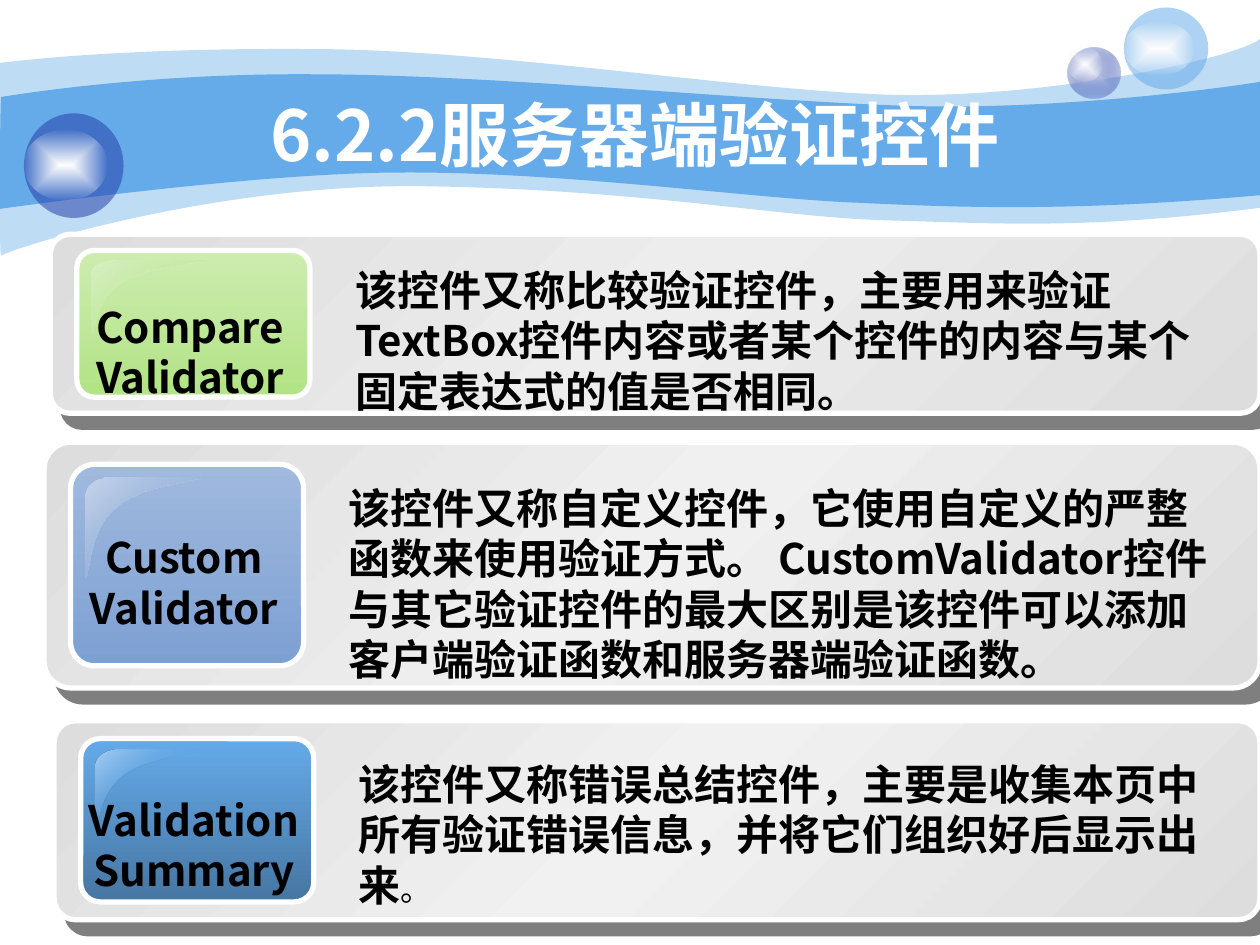
from pptx import Presentation
from pptx.dml.color import RGBColor
from pptx.enum.shapes import MSO_SHAPE
from pptx.enum.text import MSO_ANCHOR, MSO_AUTO_SIZE, PP_ALIGN
from pptx.oxml import parse_xml
from pptx.oxml.ns import nsdecls, qn
from pptx.util import Inches, Pt

COLORS = {
    "sky": "65AAE9", "navy": "233DA9", "lilac": "C6CCE8", "white": "FFFFFF",
    "clear": "FEFEFE", "black": "000000", "card_edge": "DDDDDD",
    "card_dim": "EDEDED", "card_mid": "F0F0F0", "card_bright": "F1F1F1",
    "green_light": "CDECB0", "green": "B2E385", "green_gloss": "D8F0C2",
    "blue_light": "A0B9DE", "blue": "7DA0D3", "blue_gloss": "C7D5EB",
    "steel": "4676A2", "sky_gloss": "AACFF2",
}
FONT = "Noto Sans CJK SC"


def paint(shape, stops, angle=None):
    """Fill with (position, colour, opacity) stops: one is solid, no angle is a centred gradient."""
    colors = [
        f'<a:srgbClr val="{COLORS[name]}"><a:alpha val="{opacity * 1000}"/></a:srgbClr>'
        for _, name, opacity in stops
    ]
    if len(stops) == 1:
        xml = f'<a:solidFill {nsdecls("a")}>{colors[0]}</a:solidFill>'
    else:
        marks = "".join(
            f'<a:gs pos="{stop[0] * 1000}">{color}</a:gs>' for stop, color in zip(stops, colors)
        )
        if angle is None:
            course = ('<a:path path="rect"><a:fillToRect l="50000" t="50000" '
                      'r="50000" b="50000"/></a:path>')
        else:
            course = f'<a:lin ang="{angle * 60000}" scaled="0"/>'
        xml = f'<a:gradFill {nsdecls("a")}><a:gsLst>{marks}</a:gsLst>{course}</a:gradFill>'
    shape.fill.solid()
    properties = shape.element.spPr
    properties.replace(properties.find(qn("a:solidFill")), parse_xml(xml))
    shape.line.fill.background()
    shape.shadow.inherit = False


def add_curve(shapes, start, segments, left, top, width, height):
    """Draw a closed outline; a segment is one point (line) or three points (Bezier)."""
    points = [start] + [point for segment in segments for point in segment]
    places = [(round(left + x * width), round(top + y * height)) for x, y in points]
    builder = shapes.build_freeform(*places[0])
    builder.add_line_segments(places[1:], close=True)
    shape = builder.convert_to_shape()
    lines = iter(list(shape.element.spPr.iter(qn("a:lnTo"))))
    for segment in segments:
        steps = [next(lines) for _ in segment]
        if len(steps) == 3:
            curve = parse_xml(f'<a:cubicBezTo {nsdecls("a")}/>')
            steps[0].addprevious(curve)
            for step in steps:
                curve.append(step[0])
                step.getparent().remove(step)
    return shape


deck = Presentation()
deck.slide_width, deck.slide_height = Inches(10), Inches(7.5)
column, row = deck.slide_width / 10, deck.slide_height / 7.5
page = deck.slides.add_slide(deck.slide_layouts[5])

# Header waves, in columns and rows
waves = [
    (41, (0, 0.5), [
        ((0.24, 0.47), (1.07, 0.38), (2.47, 0.39)), ((3.86, 0.39), (5.75, 0.7), (6.99, 0.75)),
        ((8.22, 0.8), (9.8, 0.47), (10, 0.31)), ((10, 1.65),),
        ((8.58, 1.83), (7.87, 1.77), (7.05, 1.75)), ((6.22, 1.73), (5.15, 1.51), (3.43, 1.48)),
        ((1.72, 1.44), (0.04, 1.99), (0.01, 2.03)), ((-0.01, 2.08), (0, 0.75), (0, 0.5))]),
    (100, (0.01, 0.77), [
        ((0.02, 0.77), (1.1, 0.58), (2.48, 0.59)), ((3.86, 0.59), (5.95, 0.8), (7.18, 0.84)),
        ((8.41, 0.88), (9.76, 0.69), (10, 0.65)), ((10, 1.55),),
        ((8.53, 1.68), (7.65, 1.65), (6.82, 1.61)), ((5.99, 1.58), (4.47, 1.36), (3.17, 1.37)),
        ((2.03, 1.37), (-0.02, 1.66), (-0.01, 1.66)), ((0, 1.66), (0, 0.77), (0.01, 0.77))]),
]
for opacity, start, segments in waves:
    wave = add_curve(page.shapes, start, segments, 0, 0, column, row)
    paint(wave, [(0, "sky", opacity)])

# Bubbles, each with a highlight
shine = [(0, "white", 100), (100, "clear", 0)]
bubbles = [
    ((8.47, 0.38, 0.42, 0.4), (8.47, 0.38, 0.28, 0.27), [(0, "lilac", 100), (100, "navy", 31)]),
    ((8.92, 0.06, 0.67, 0.65), (8.92, 0.17, 0.56, 0.43), [(0, "sky", 53)]),
    ((0.19, 0.9, 0.79, 0.83), (0.19, 1.03, 0.66, 0.56), [(0, "navy", 53)]),
]
for ball, highlight, stops in bubbles:
    bubble = page.shapes.add_group_shape()
    for (x, y, w, h), fill in ((ball, stops), (highlight, shine)):
        oval = bubble.shapes.add_shape(
            MSO_SHAPE.OVAL, round(x * column), round(y * row), round(w * column), round(h * row))
        paint(oval, fill)

# Title, in front of the waves
title = page.shapes.title
title.element.getparent().append(title.element)
title.left, title.top = round(column), round(0.75 * row)
title.width, title.height = round(8.08 * column), round(0.62 * row)
title.text_frame.text = "6.2.2服务器端验证控件"
title.text_frame.auto_size = MSO_AUTO_SIZE.NONE
title.text_frame.vertical_anchor = MSO_ANCHOR.MIDDLE
heading = title.text_frame.paragraphs[0]
heading.alignment = PP_ALIGN.CENTER
styled_spans = [(heading.runs[0], "white", {"size": Pt(40), "bold": True, "name": FONT})]

# Cards: left, top, height, middle colour, badge stops, gloss stops, label,
# body offset, body height, body font, body spans
cards = [
    (0.4, 1.86, 1.42, "card_dim", [(0, "green_light", 100), (100, "green", 100)],
     [(0, "green", 0), (100, "green_gloss", 100)], ["Compare", "Validator"], 0.19, 1.3, FONT,
     [("该控件又称比较验证控件，主要用来验证TextBox控件内容或者某个控件的内容与某个"
       "固定表达式的值是否相同。", 24, True)]),
    (0.35, 3.51, 1.95, "card_mid", [(0, "blue_light", 100), (100, "blue", 100)],
     [(0, "blue", 0), (100, "blue_gloss", 100)], ["Custom", "Validator"], 0.27, 1.7, FONT,
     [("该控件又称自定义控件，它使用自定义的严整函数来使用验证方式。 CustomValidator"
       "控件与其它验证控件的最大区别是该控件可以添加客户端验证函数和服务器端验证函数。", 24, True)]),
    (0.43, 5.72, 1.58, "card_bright", [(0, "sky", 100), (100, "steel", 100)],
     [(0, "sky_gloss", 100), (50, "sky", 0), (100, "sky_gloss", 100)],
     ["Validation", "Summary"], 0.25, 1.3, "Arial",
     [("该控件又称错误总结控件，主要是收集本页中所有验证错误信息，并将它们组织好后显示出来", 24, True),
      ("。", 18, False)]),
]
gloss_outline = [
    ((0.09, 0), (0, 0.09), (0, 0.2)), ((0, 0.99),),
    ((0.04, 1), (0.01, 0.52), (0.27, 0.29)), ((0.52, 0.06), (1, 0.04), (0.99, 0)),
]
for (x, y, h, middle, badge_stops, gloss_stops, label,
     body_offset, body_height, body_font, body) in cards:
    card = page.shapes.add_group_shape()
    card_stops = [(0, "card_edge", 100), (50, middle, 100), (100, "card_edge", 100)]
    panels = [
        (x, y, 10 - x, h, 0.109, card_stops, 225),
        (x + 0.21, y + 0.09 * h, 1.85, 0.82 * h, 0.119, badge_stops, 90),
    ]
    for left, top, width, height, corner, stops, angle in panels:
        panel = card.shapes.add_shape(
            MSO_SHAPE.ROUNDED_RECTANGLE, round(left * column), round(top * row),
            round(width * column), round(height * row))
        panel.adjustments[0] = corner
        paint(panel, stops, angle)
        panel.line.color.rgb = RGBColor.from_string(COLORS["white"])
        panel.line.width = Pt(3)
        if stops is card_stops:
            panel.element.spPr.find(qn("a:effectLst")).append(parse_xml(
                f'<a:outerShdw {nsdecls("a")} blurRad="0" dist="{Pt(10.6)}" dir="{49 * 60000}" '
                f'algn="ctr" rotWithShape="0"><a:srgbClr val="{COLORS["black"]}">'
                '<a:alpha val="50000"/></a:srgbClr></a:outerShdw>'))
    gloss = add_curve(card.shapes, (0.2, 0), gloss_outline, (x + 0.33) * column,
                      (y + 0.145 * h) * row, 0.92 * column, 0.41 * h * row)
    paint(gloss, gloss_stops, 225)

    texts = [
        (x + 0.01, y + 0.34 * h, 2.2, 0.9, False, PP_ALIGN.CENTER, FONT,
         [[(line, 24, True)] for line in label]),
        (x + 2.32, y + body_offset, 7.05, body_height, True, PP_ALIGN.LEFT, body_font, [body]),
    ]
    for left, top, width, height, wrap, alignment, font, paragraphs in texts:
        box = card.shapes.add_textbox(
            round(left * column), round(top * row), round(width * column), round(height * row))
        box.text_frame.word_wrap = wrap
        for index, spans in enumerate(paragraphs):
            para = box.text_frame.add_paragraph() if index else box.text_frame.paragraphs[0]
            para.alignment = alignment
            para.line_spacing = Pt(28.8)
            for words, size, bold in spans:
                span = para.add_run()
                span.text = words
                styled_spans.append(
                    (span, "black", {"size": Pt(size), "bold": bold, "name": font}))

for span, color, style in styled_spans:
    for attribute, value in style.items():
        setattr(span.font, attribute, value)
    span.font.color.rgb = RGBColor.from_string(COLORS[color])
    latin = span.font._element.find(qn("a:latin"))
    latin.addnext(parse_xml(f'<a:ea {nsdecls("a")} typeface="{FONT}"/>'))

deck.save("out.pptx")
